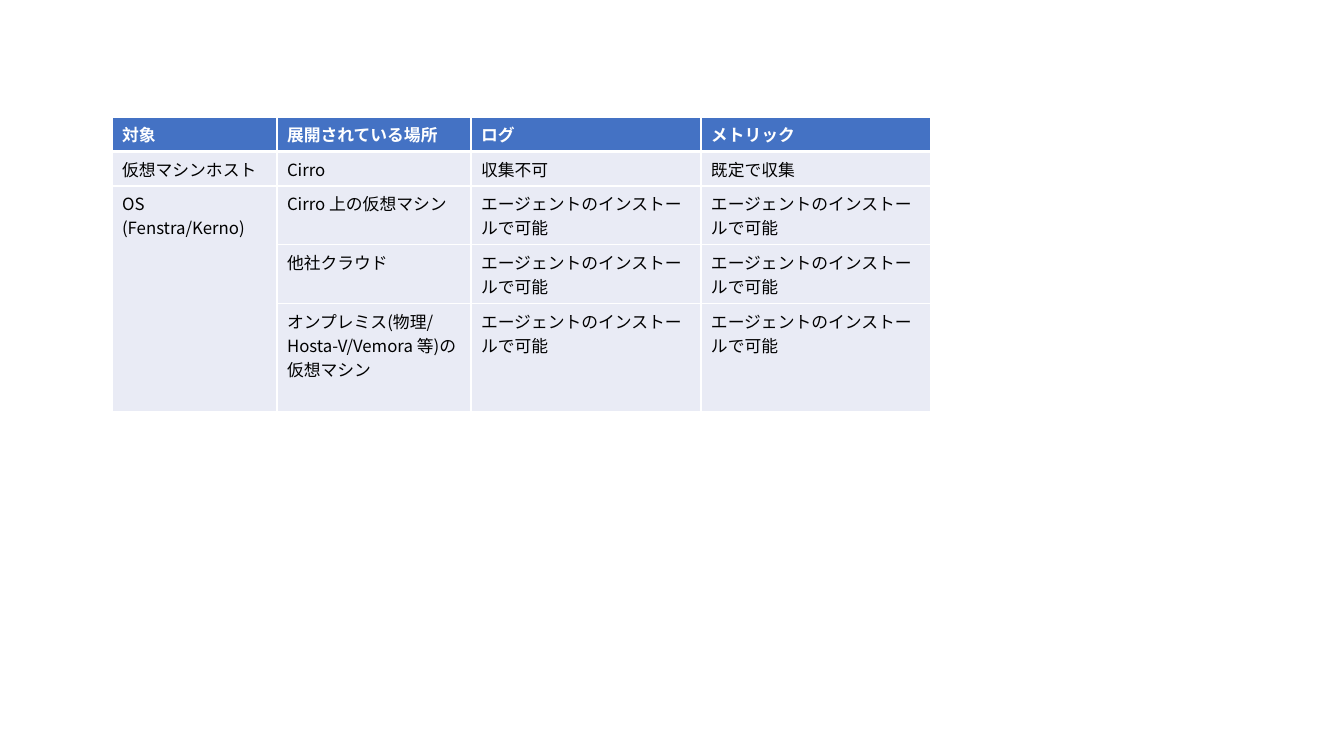
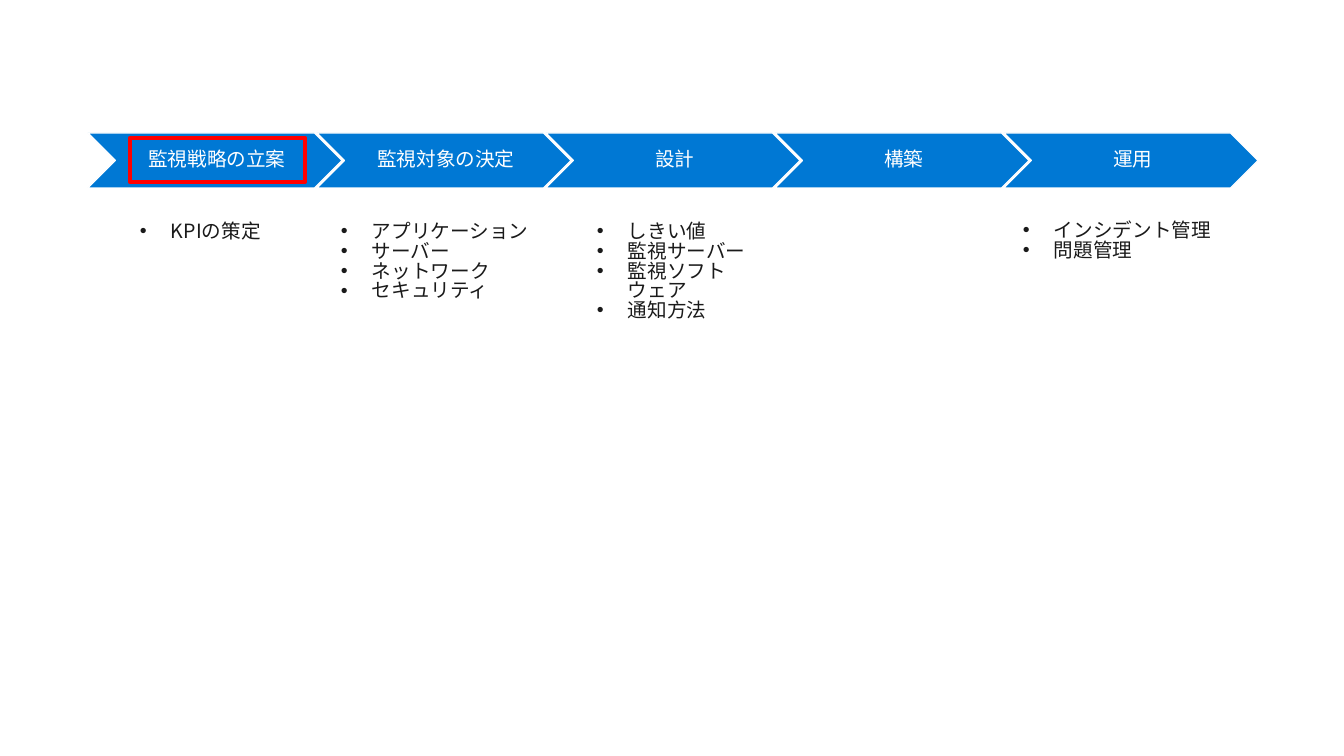
from dataclasses import dataclass

from lxml.etree import SubElement
from pptx import Presentation
from pptx.dml.color import RGBColor as RGB
from pptx.enum.shapes import MSO_SHAPE as Shape
from pptx.enum.text import MSO_ANCHOR as Anchor, MSO_AUTO_SIZE as Fit, PP_ALIGN as Align
from pptx.oxml.ns import qn
from pptx.util import Emu, Pt

# Shared look
FONT = "Noto Sans CJK JP"
WHITE = RGB(0xFF, 0xFF, 0xFF)
BLACK = RGB(0x00, 0x00, 0x00)
INK = RGB(0x1A, 0x1A, 0x1A)
HEAD = RGB(0x44, 0x72, 0xC4)
BODY = RGB(0xE9, 0xEB, 0xF5)
STEP = RGB(0x00, 0x78, 0xD4)
RED = RGB(0xFF, 0x00, 0x00)
SCALE = 914400 / 100.8


def px(num: int) -> Emu:
    return Emu(round(num * SCALE))


@dataclass(frozen=True)
class Box:
    left: int
    top: int
    width: int
    height: int

    def emu(self) -> tuple[Emu, ...]:
        return tuple(px(n) for n in (self.left, self.top, self.width, self.height))


@dataclass(frozen=True)
class Notes:
    box: Box
    items: tuple[str, ...]


def style(para, size: int, color: RGB, bold: bool = False) -> None:
    font = para.font
    font.size, font.bold, font.name = Pt(size), bold, FONT
    font.color.rgb = color
    props = para._p.get_or_add_pPr().find(qn("a:defRPr"))
    SubElement(props, qn("a:ea"), typeface=FONT)


# Table parts
def edge(cell, side: str, width: float) -> None:
    line = SubElement(cell._tc.get_or_add_tcPr(), qn(f"a:ln{side}"), w=str(Pt(width)))
    fill = SubElement(line, qn("a:solidFill"))
    SubElement(fill, qn("a:srgbClr"), val=str(WHITE))


def draw_cell(cell, text: str, row: int) -> None:
    head = row == 0
    cell.text_frame.text = text
    for para in cell.text_frame.paragraphs:
        style(para, 12, WHITE if head else BLACK, head)
    thick = {"T": row == 1, "B": head}
    for side in "LRTB":
        edge(cell, side, 3 if thick.get(side) else 1)
    cell.fill.solid()
    cell.fill.fore_color.rgb = HEAD if head else BODY


def draw_table(slide, box: Box, cols: tuple[int, ...], tall: tuple[int, ...],
               rows: list[tuple[str, ...]]) -> None:
    frame = slide.shapes.add_table(len(rows), len(cols), *box.emu())
    table = frame.table
    for col, width in zip(table.columns, cols):
        col.width = px(width)
    for row, height in zip(table.rows, tall):
        row.height = px(height)
    for i, row in enumerate(rows):
        for j, text in enumerate(row):
            draw_cell(table.cell(i, j), text, i)
    table.cell(2, 0).merge(table.cell(4, 0))
    frame.height = px(box.height)


# Process parts
def draw_step(slide, box: Box, text: str) -> None:
    step = slide.shapes.add_shape(Shape.CHEVRON, *box.emu())
    step.shadow.inherit = False
    step.fill.solid()
    step.fill.fore_color.rgb = STEP
    step.line.color.rgb = WHITE
    step.line.width = Pt(0.85)
    frame = step.text_frame
    frame.text = text
    frame.word_wrap = True
    frame.vertical_anchor = Anchor.MIDDLE
    frame.margin_left = px(6)
    frame.margin_right = frame.margin_top = frame.margin_bottom = px(2)
    para = frame.paragraphs[0]
    para.alignment = Align.CENTER
    para.line_spacing = 0.9
    style(para, 14, WHITE)


def draw_notes(slide, notes: Notes) -> None:
    frame = slide.shapes.add_textbox(*notes.box.emu()).text_frame
    frame.word_wrap = True
    frame.auto_size = Fit.SHAPE_TO_FIT_TEXT
    frame.text = "\n".join(notes.items)
    for para in frame.paragraphs:
        props = para._p.get_or_add_pPr()
        props.set("marL", str(px(31)))
        props.set("indent", str(-px(31)))
        SubElement(props, qn("a:buFont"), typeface="Arial")
        SubElement(props, qn("a:buChar"), char="•")
        para.line_spacing = 0.84
        style(para, 14, INK)


def draw_mark(slide, box: Box) -> None:
    mark = slide.shapes.add_shape(Shape.RECTANGLE, *box.emu())
    mark.shadow.inherit = False
    mark.fill.background()
    mark.line.color.rgb = RED
    mark.line.width = Pt(3)


deck = Presentation()
deck.slide_width, deck.slide_height = px(1344), px(756)
blank = deck.slide_layouts[6]

# Slide 1: what can be collected where
AGENT = ("エージェントのインストールで可能",) * 2
ROWS = [
    ("対象", "展開されている場所", "ログ", "メトリック"),
    ("仮想マシンホスト", "Cirro", "収集不可", "既定で収集"),
    ("OS\n(Fenstra/Kerno)", "Cirro 上の仮想マシン", *AGENT),
    ("", "他社クラウド", *AGENT),
    ("", "オンプレミス(物理/Hosta-V/Vemora 等)の\v仮想マシン", *AGENT),
]
draw_table(deck.slides.add_slide(blank), Box(112, 117, 819, 192),
           (165, 194, 230, 230), (16, 16, 28, 16, 40), ROWS)

# Slide 2: monitoring process
STEPS = ("監視戦略の立案", "監視対象の決定", "設計", "構築", "運用")
NOTES = (
    Notes(Box(331, 218, 223, 105),
          ("アプリケーション", "サーバー", "ネットワーク", "セキュリティ")),
    Notes(Box(587, 218, 175, 105),
          ("しきい値", "監視サーバー", "監視ソフトウェア", "通知方法")),
    Notes(Box(1013, 217, 223, 57), ("インシデント管理", "問題管理")),
    Notes(Box(130, 218, 171, 34), ("KPIの策定",)),
)
flow = deck.slides.add_slide(blank)
for i, name in enumerate(STEPS):
    draw_step(flow, Box(88 + 229 * i, 133, 254, 55), name)
for notes in NOTES:
    draw_notes(flow, notes)
draw_mark(flow, Box(130, 138, 175, 44))

deck.save("out.pptx")
